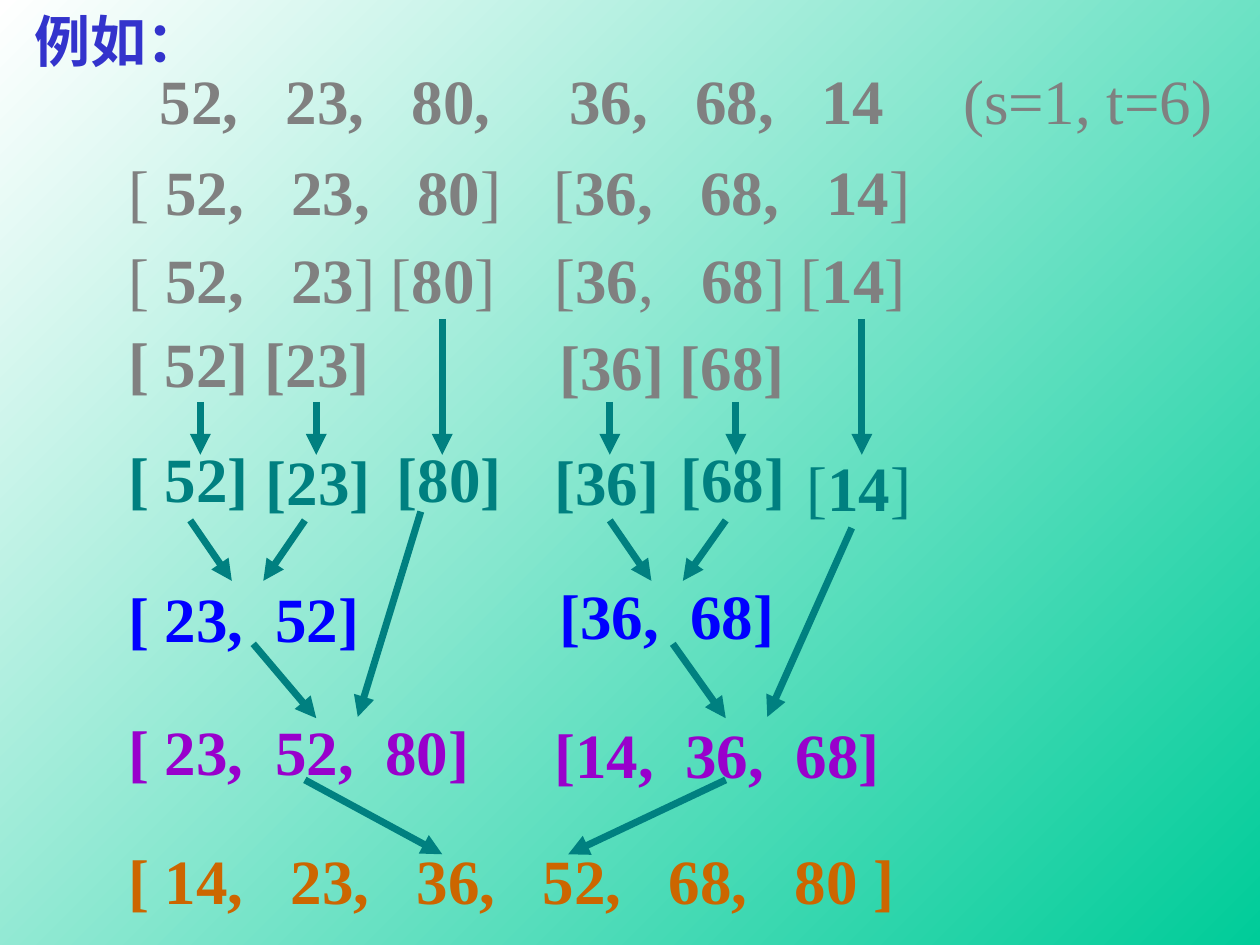
"""Build a slide tracing a merge sort of six numbers, from splitting to merging."""
from typing import NamedTuple

from lxml.etree import SubElement
from pptx import Presentation
from pptx.dml.color import RGBColor
from pptx.enum.shapes import MSO_CONNECTOR
from pptx.enum.text import MSO_ANCHOR, MSO_AUTO_SIZE, PP_ALIGN
from pptx.oxml.ns import qn
from pptx.util import Inches, Pt

FONT = "Times New Roman"
TITLE_BLUE, GRAY, TEAL = "3333CC", "808080", "008080"
BLUE, PURPLE, ORANGE = "0000FF", "9900CC", "CC6600"
BOLD_MARK = "*"
LINE_HEIGHT = 0.7


class Sequence(NamedTuple):
    """A line of numbers; asterisks enclose its bold parts."""
    text: str
    left: float
    top: float
    width: float
    color: str


class Arrow(NamedTuple):
    """An arrow from one step of the sort to the next."""
    x1: float
    y1: float
    x2: float
    y2: float


HALVES = Sequence("[ *52,   23,   80*]**   **[*36,   68,   14*]", 0.92, 1.11, 6.41, GRAY)

SEQUENCES = [
    Sequence("*52,   23,   80,     36,   68,   14*     (s=1, t=6)", 1.17, 0.44, 8.56, GRAY),
    Sequence("[ *52,   23*] [*80*]", 0.92, 1.86, 3.12, GRAY),
    Sequence("[*36*,   *68*] [*14*]", 4.3, 1.86, 2.99, GRAY),
    Sequence("*[ 52] [23]*", 0.92, 2.53, 2.33, GRAY),
    Sequence("*[36] [68]*", 4.34, 2.55, 1.99, GRAY),
    Sequence("*[ 52]*", 0.92, 3.44, 1.25, TEAL),
    Sequence("*[23]*", 2.01, 3.46, 1.03, TEAL),
    Sequence("*[80]*", 3.05, 3.44, 1.03, TEAL),
    Sequence("*[36]*", 4.3, 3.46, 1.03, TEAL),
    Sequence("*[68]*", 5.3, 3.44, 1.03, TEAL),
    Sequence("[*14*]", 6.3, 3.51, 1.03, TEAL),
    Sequence("*[ 23,  52]*", 0.92, 4.55, 2.03, BLUE),
    Sequence("*[36,  68]*", 4.34, 4.53, 1.91, BLUE),
    Sequence("*[ 23,  52,  80]*", 0.92, 5.61, 2.91, PURPLE),
    Sequence("*[14,  36,  68]*", 4.3, 5.63, 2.78, PURPLE),
    Sequence("*[ 14,   23,   36,   52,   68,   80 ]*", 0.92, 6.63, 6.28, ORANGE),
]

SINGLES = [Arrow(x, 3.19, x, 3.61) for x in (1.59, 2.51, 4.84, 5.84)]
SINGLES += [Arrow(x, 2.53, x, 3.61) for x in (3.51, 6.84)]
MERGES = [
    Arrow(1.51, 4.13, 1.84, 4.61),
    Arrow(2.42, 4.13, 2.09, 4.61),
    Arrow(4.84, 4.13, 5.17, 4.61),
    Arrow(5.76, 4.13, 5.42, 4.61),
    Arrow(2.01, 5.11, 2.51, 5.7),
    Arrow(3.34, 4.06, 2.84, 5.69),
    Arrow(5.34, 5.11, 5.76, 5.7),
    Arrow(6.76, 4.19, 6.09, 5.69),
    Arrow(2.42, 6.19, 3.51, 6.78),
    Arrow(5.76, 6.19, 4.51, 6.78),
]


def rgb(color: str) -> RGBColor:
    """Turn a hex string into a colour."""
    return RGBColor.from_string(color)


def style(paragraph, size: float, color: str) -> None:
    """Set the font shared by all runs of a paragraph."""
    paragraph.font.name = FONT
    paragraph.font.size = Pt(size)
    paragraph.font.color.rgb = rgb(color)


def paint_background(slide) -> None:
    """Fill the slide with a diagonal gradient from white to green."""
    fill = slide.background.fill
    fill.gradient()
    fill.gradient_angle = 315
    for stop, color, position in zip(fill.gradient_stops, ("FFFFFF", "00CC99"), (0, 1)):
        stop.color.rgb = rgb(color)
        stop.position = position


def write_title(title) -> None:
    """Place and format the slide title."""
    title.left, title.top = Inches(0.17), Inches(0)
    title.width, title.height = Inches(1.54), Inches(0.63)
    title.text = "例如："
    frame = title.text_frame
    frame.word_wrap = False
    frame.auto_size = MSO_AUTO_SIZE.SHAPE_TO_FIT_TEXT
    frame.vertical_anchor = MSO_ANCHOR.TOP
    heading = frame.paragraphs[0]
    heading.alignment = PP_ALIGN.LEFT
    style(heading, 32, TITLE_BLUE)
    heading.font.bold = True


def add_sequence(slide, sequence: Sequence):
    """Draw a line of numbers and return its paragraph."""
    box = slide.shapes.add_textbox(Inches(sequence.left), Inches(sequence.top),
                                   Inches(sequence.width), Inches(LINE_HEIGHT))
    frame = box.text_frame
    frame.word_wrap = False
    frame.auto_size = MSO_AUTO_SIZE.SHAPE_TO_FIT_TEXT
    numbers = frame.paragraphs[0]
    style(numbers, 36, sequence.color)
    for index, part in enumerate(sequence.text.split(BOLD_MARK)):
        if part:
            run = numbers.add_run()
            run.text = part
            run.font.bold = index % 2 == 1
    return numbers


def add_arrow(slide, arrow: Arrow) -> None:
    """Draw an arrow with a triangular head."""
    connector = slide.shapes.add_connector(MSO_CONNECTOR.STRAIGHT, *map(Inches, arrow))
    connector.line.color.rgb = rgb(TEAL)
    connector.line.width = Pt(4)
    SubElement(connector.line._get_or_add_ln(), qn("a:tailEnd"), type="triangle")
    SubElement(connector._element.spPr, qn("a:effectLst"))


def main() -> None:
    """Build and save the presentation."""
    deck = Presentation()
    deck.slide_width, deck.slide_height = Inches(10), Inches(7.5)
    slide = deck.slides.add_slide(deck.slide_layouts[5])
    paint_background(slide)
    write_title(slide.shapes.title)
    halves = add_sequence(slide, HALVES)
    halves.runs[3].font.size = Pt(40)
    for sequence in SEQUENCES:
        add_sequence(slide, sequence)
    for arrow in SINGLES + MERGES:
        add_arrow(slide, arrow)
    deck.save("out.pptx")


if __name__ == "__main__":
    main()
